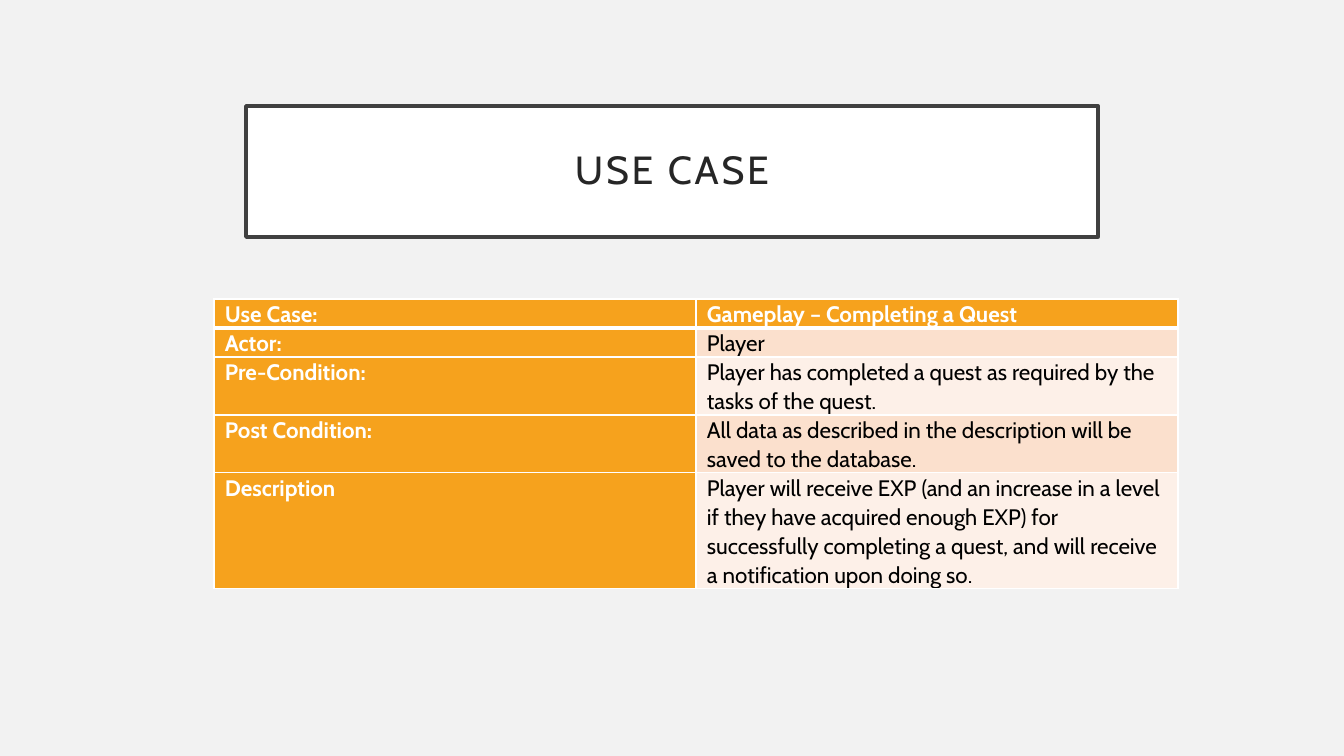
from dataclasses import dataclass

from lxml import etree
from pptx import Presentation
from pptx.dml.color import RGBColor
from pptx.enum.text import MSO_ANCHOR, MSO_AUTO_SIZE, PP_ALIGN
from pptx.oxml.ns import qn
from pptx.util import Emu, Pt

MIDDLE = MSO_ANCHOR.MIDDLE
NO_AUTOFIT = MSO_AUTO_SIZE.NONE
CENTER = PP_ALIGN.CENTER
TITLE_ONLY_LAYOUT = 5
EMU_PER_PX = 12192000 / 1344


@dataclass(frozen=True)
class Theme:
    font: str = "Cabin"
    background: str = "F2F2F2"
    white: str = "FFFFFF"
    title_border: str = "404040"
    title_text: str = "262626"
    accent: str = "F6A21D"
    bands: tuple = ("FDF0E8", "FBE0CD")
    cell_text: str = "000000"
    title_size: int = 28
    cell_size: int = 16


THEME = Theme()


def px(length):
    return Emu(round(length * EMU_PER_PX))


def add_run(paragraph, text, size, color, bold=False):
    run = paragraph.add_run()
    run.text = text
    run.font.name = THEME.font
    run.font.size = Pt(size)
    run.font.bold = bold
    run.font.color.rgb = RGBColor.from_string(color)
    return run


presentation = Presentation()
presentation.slide_width, presentation.slide_height = px(1344), px(756)
slide = presentation.slides.add_slide(presentation.slide_layouts[TITLE_ONLY_LAYOUT])
slide.background.fill.solid()
slide.background.fill.fore_color.rgb = RGBColor.from_string(THEME.background)

# Title
title = slide.shapes.title
title.left, title.top, title.width, title.height = px(246), px(106), px(852), px(131)
title.fill.solid()
title.fill.fore_color.rgb = RGBColor.from_string(THEME.white)
title.line.color.rgb = RGBColor.from_string(THEME.title_border)
title.line.width = Pt(2.5)
frame = title.text_frame
frame.word_wrap = True
frame.auto_size = NO_AUTOFIT
frame.vertical_anchor = MIDDLE
frame.margin_left = frame.margin_right = frame.margin_top = frame.margin_bottom = px(20)
paragraph = frame.paragraphs[0]
paragraph.alignment = CENTER
paragraph.line_spacing = 0.9
title_run = add_run(paragraph, "USE CASE", THEME.title_size, THEME.title_text)
title_run.font._element.set("spc", "200")

# Use case table
use_case_rows = [
    ("Use Case:", "Gameplay – Completing a Quest", 29),
    ("Actor:", "Player", 29),
    ("Pre-Condition:", "Player has completed a quest as required by the tasks of the quest.", 58),
    ("Post Condition:", "All data as described in the description will be saved to the database.", 58),
    ("Description", "Player will receive EXP (and an increase in a level if they have acquired "
     "enough EXP) for successfully completing a quest, and will receive a notification "
     "upon doing so.", 115),
]
table_height = sum(height for _, _, height in use_case_rows)
table = slide.shapes.add_table(
    len(use_case_rows), 2, px(214), px(299), px(964), px(table_height)).table

for row_index, (label, detail, height) in enumerate(use_case_rows):
    table.rows[row_index].height = px(height)
    for column_index, text in enumerate((label, detail)):
        is_heading = row_index == 0 or column_index == 0
        cell = table.cell(row_index, column_index)
        cell.margin_left = cell.margin_right = px(11)
        cell.margin_top = cell.margin_bottom = 0
        paragraph = cell.text_frame.paragraphs[0]
        paragraph.line_spacing = 1.07
        add_run(paragraph, text, THEME.cell_size,
                THEME.white if is_heading else THEME.cell_text, is_heading)

        # Borders come before the fill in the cell properties
        properties = cell._tc.get_or_add_tcPr()
        for side in "LRTB":
            below_header = (row_index, side) in ((0, "B"), (1, "T"))
            border = etree.SubElement(properties, qn(f"a:ln{side}"),
                                      w=str(Pt(3 if below_header else 1)))
            border_fill = etree.SubElement(border, qn("a:solidFill"))
            etree.SubElement(border_fill, qn("a:srgbClr"), val=THEME.white)
        cell.fill.solid()
        fill_color = THEME.accent if is_heading else THEME.bands[row_index % 2]
        cell.fill.fore_color.rgb = RGBColor.from_string(fill_color)

presentation.save("out.pptx")
